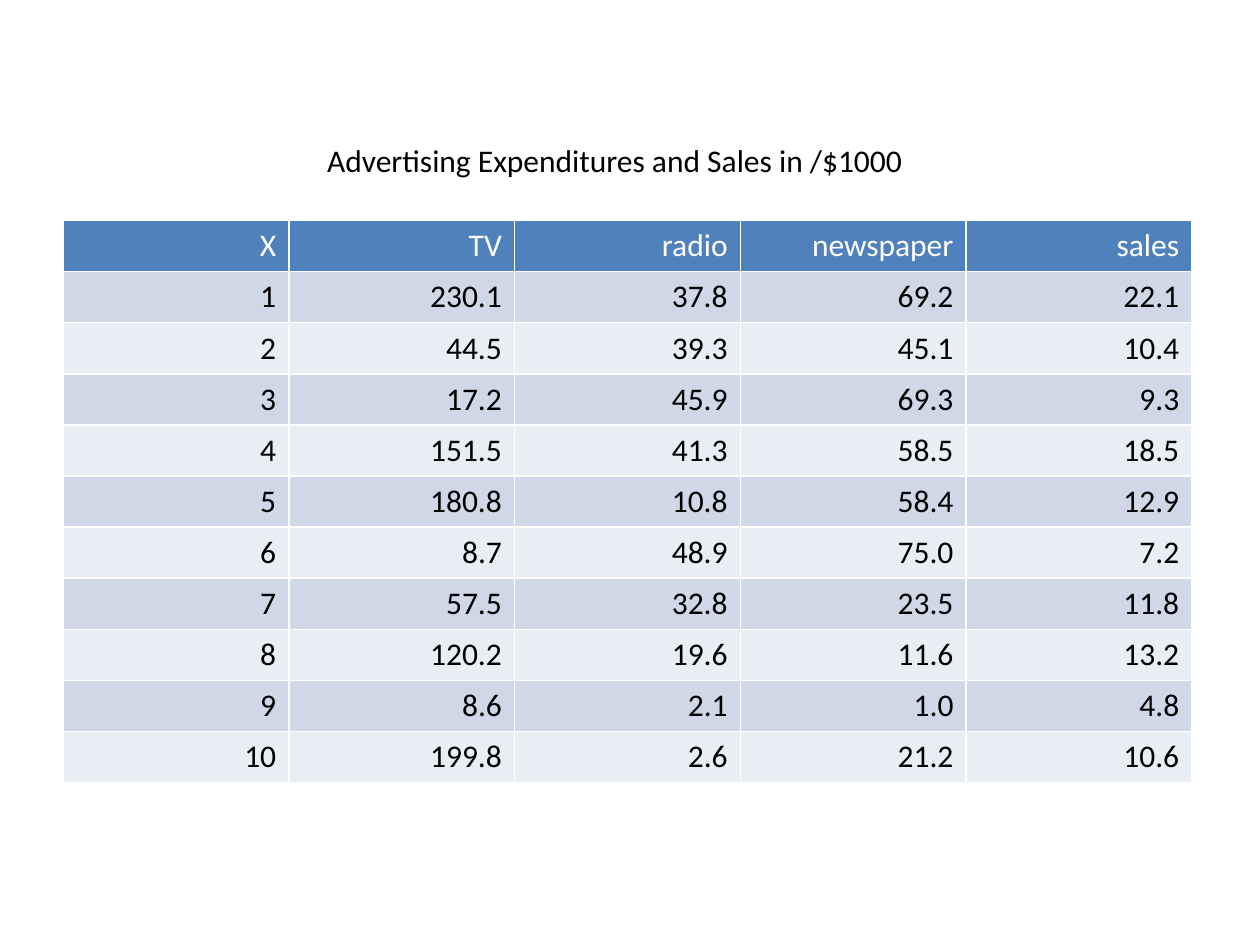
from lxml.etree import SubElement
from pptx import Presentation
from pptx.dml.color import RGBColor
from pptx.enum.text import MSO_ANCHOR, PP_ALIGN
from pptx.oxml.ns import qn
from pptx.util import Inches, Pt

COLORS = {
    "header": "4F81BD",
    "odd": "D0D8E8",
    "even": "E9EDF4",
    "white": "FFFFFF",
    "black": "000000",
}
HEADINGS = ["X", "TV", "radio", "newspaper", "sales"]
SALES_DATA = [
    (230.1, 37.8, 69.2, 22.1),
    (44.5, 39.3, 45.1, 10.4),
    (17.2, 45.9, 69.3, 9.3),
    (151.5, 41.3, 58.5, 18.5),
    (180.8, 10.8, 58.4, 12.9),
    (8.7, 48.9, 75.0, 7.2),
    (57.5, 32.8, 23.5, 11.8),
    (120.2, 19.6, 11.6, 13.2),
    (8.6, 2.1, 1.0, 4.8),
    (199.8, 2.6, 21.2, 10.6),
]


def write_text(frame, text, color="black", align=PP_ALIGN.LEFT, size=18, font="Calibri"):
    para = frame.paragraphs[0]
    para.alignment = align
    span = para.add_run()
    span.text = text
    span.font.name = font
    span.font.size = Pt(size)
    span.font.color.rgb = RGBColor.from_string(COLORS[color])


def add_borders(cell, color="white", width=1):
    properties = cell._tc.get_or_add_tcPr()
    for index, side in enumerate(("lnL", "lnR", "lnT", "lnB")):
        line = SubElement(properties, qn(f"a:{side}"), w=str(Pt(width)))
        fill = SubElement(line, qn("a:solidFill"))
        SubElement(fill, qn("a:srgbClr"), val=COLORS[color])
        properties.insert(index, line)  # borders come before the cell fill


deck = Presentation()
deck.slide_width, deck.slide_height = Inches(10), Inches(7.5)
page = deck.slides.add_slide(deck.slide_layouts[5])

# Title
title = page.shapes.title
title.left, title.top = Inches(0.38), Inches(1.07)
title.width, title.height = Inches(9), Inches(0.56)
title.text_frame.vertical_anchor = MSO_ANCHOR.TOP
write_text(title.text_frame, "Advertising Expenditures and Sales in /$1000",
           align=PP_ALIGN.CENTER)

# Table of expenditures and sales
rows = [HEADINGS]
for number, values in enumerate(SALES_DATA, start=1):
    rows.append([str(number)] + [f"{value:.1f}" for value in values])

table = page.shapes.add_table(len(rows), len(HEADINGS), Inches(0.5), Inches(1.75),
                              Inches(8.96), Inches(4.4)).table
for row_index, row in enumerate(rows):
    is_header = row_index == 0
    band = "header" if is_header else "odd" if row_index % 2 else "even"
    for column_index, text in enumerate(row):
        cell = table.cell(row_index, column_index)
        cell.fill.solid()
        cell.fill.fore_color.rgb = RGBColor.from_string(COLORS[band])
        add_borders(cell)
        write_text(cell.text_frame, text, color="white" if is_header else "black",
                   align=PP_ALIGN.RIGHT)
        cell.text_frame.paragraphs[0].runs[0].font.bold = False

deck.save("out.pptx")
